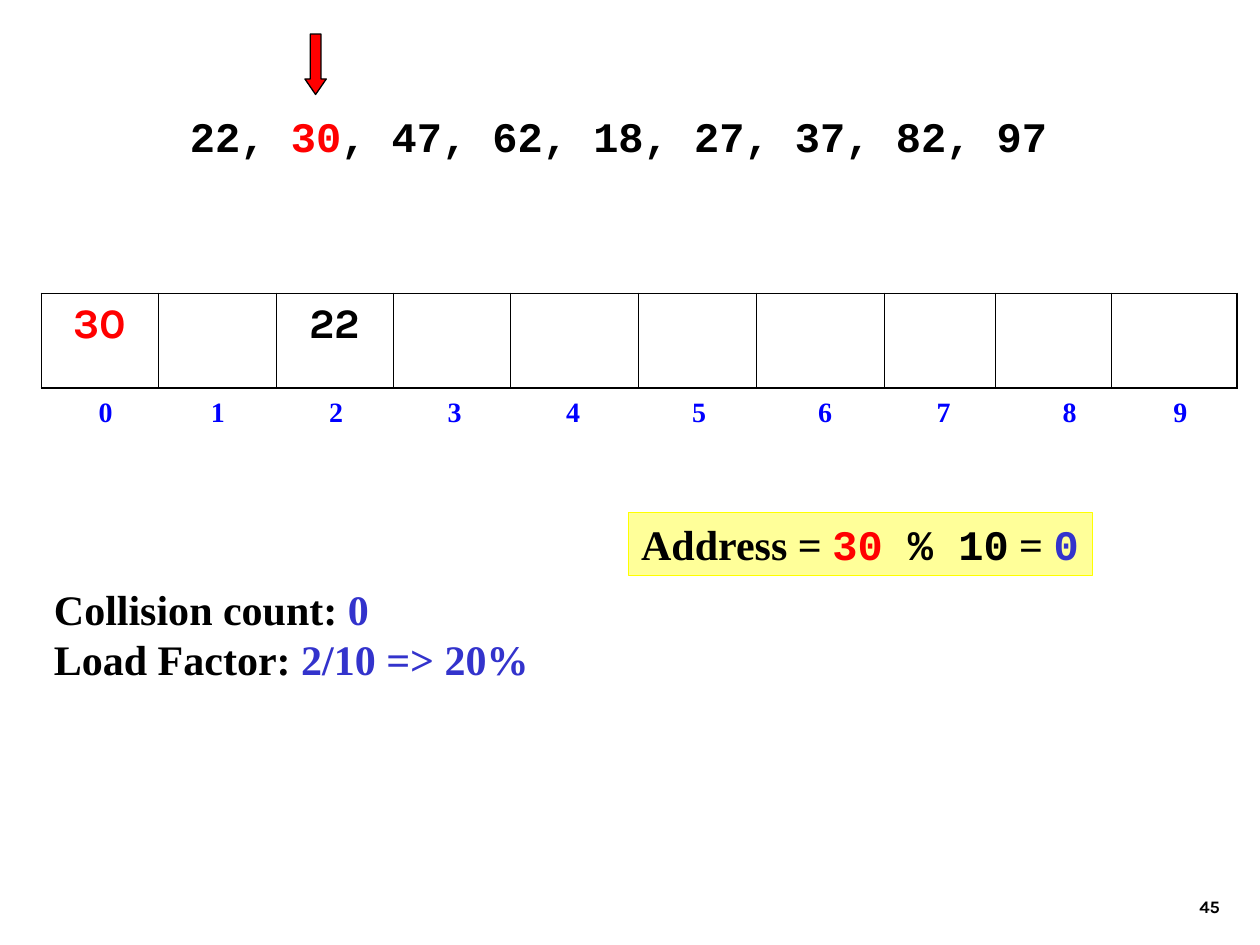
from lxml.etree import SubElement
from pptx import Presentation
from pptx.dml.color import RGBColor
from pptx.enum.shapes import MSO_SHAPE
from pptx.enum.text import MSO_ANCHOR, MSO_AUTO_SIZE, PP_ALIGN
from pptx.oxml.ns import qn
from pptx.util import Inches, Pt

BLACK = RGBColor(0x00, 0x00, 0x00)
RED = RGBColor(0xFF, 0x00, 0x00)
BLUE = RGBColor(0x00, 0x00, 0xFF)
INDIGO = RGBColor(0x33, 0x33, 0xCC)
PALE_YELLOW = RGBColor(0xFF, 0xFF, 0x99)
YELLOW = RGBColor(0xFF, 0xFF, 0x00)

SERIF, MONO, SANS = "Times New Roman", "Courier New", "Karla"

KEYS = [[("22, ", MONO, BLACK), ("30", MONO, RED),
         (", 47, 62, 18, 27, 37, 82, 97", MONO, BLACK)]]
STATISTICS = [
    [("Collision count: ", SERIF, BLACK), ("0", SERIF, INDIGO)],
    [("Load Factor: ", SERIF, BLACK), ("2/10 => 20%", SERIF, INDIGO)],
]
ADDRESS = [[("Address = ", SERIF, BLACK), ("30", MONO, RED),
            (" % 10", MONO, BLACK), (" = ", SERIF, BLACK),
            ("0", MONO, INDIGO)]]
PAGE_NUMBER = [[("45", SANS, BLACK)]]
STORED = {0: ("30", SANS, RED), 2: ("22", SANS, BLACK)}

BUCKET_WIDTHS = [0.93, 0.93, 0.93, 0.93, 1.02, 0.93, 1.02, 0.88, 0.92, 1]
LABEL_STOPS = [0.49, 1.38, 2.32, 3.26, 4.2, 5.2, 6.2, 7.14, 8.14, 9.02]
INDEXES = [[("".join(f"\t{index}" for index in range(len(BUCKET_WIDTHS))), SERIF, BLUE)]]
TABLE_LEFT, TABLE_TOP, TABLE_HEIGHT = 0.33, 2.33, 0.75


def add_runs(paragraph, runs, size):
    for text, font_name, color in runs:
        run = paragraph.add_run()
        run.text = text
        run.font.name = font_name
        run.font.size = Pt(size)
        run.font.bold = True
        run.font.color.rgb = color


def fill_text(shape, lines, size=24, wrap=False, align=PP_ALIGN.LEFT, anchor=MSO_ANCHOR.TOP):
    frame = shape.text_frame
    frame.word_wrap = wrap
    frame.auto_size = MSO_AUTO_SIZE.NONE if wrap else MSO_AUTO_SIZE.SHAPE_TO_FIT_TEXT
    frame.vertical_anchor = anchor
    for number, runs in enumerate(lines):
        paragraph = frame.add_paragraph() if number else frame.paragraphs[0]
        paragraph.alignment = align
        add_runs(paragraph, runs, size)


def add_text(slide, box, lines, **options):
    shape = slide.shapes.add_textbox(*map(Inches, box))
    fill_text(shape, lines, **options)
    return shape


def add_preset(slide, kind, box, fill, line):
    shape = slide.shapes.add_shape(kind, *map(Inches, box))
    shape.shadow.inherit = False
    shape.fill.solid()
    shape.fill.fore_color.rgb = fill
    shape.line.color.rgb = line
    shape.line.width = Pt(0.75)
    return shape


def set_borders(cell, widths):
    properties = cell._tc.get_or_add_tcPr()
    for position, (side, width) in enumerate(widths.items()):
        line = properties.makeelement(qn(f"a:ln{side}"), {"w": str(Pt(width))})
        fill = SubElement(line, qn("a:solidFill"))
        SubElement(fill, qn("a:srgbClr"), val=str(BLACK))
        properties.insert(position, line)


def add_buckets(slide):
    count = len(BUCKET_WIDTHS)
    box = (TABLE_LEFT, TABLE_TOP, sum(BUCKET_WIDTHS), TABLE_HEIGHT)
    table = slide.shapes.add_table(1, count, *map(Inches, box)).table
    table.first_row = table.horz_banding = False
    for index, width in enumerate(BUCKET_WIDTHS):
        table.columns[index].width = Inches(width)
        cell = table.cell(0, index)
        cell.fill.background()
        set_borders(cell, {"L": 0.45 if index else 1.08,
                           "R": 0.45 if index < count - 1 else 1.08,
                           "T": 1.08, "B": 1.08})
        if index in STORED:
            paragraph = cell.text_frame.paragraphs[0]
            paragraph.alignment = PP_ALIGN.CENTER
            add_runs(paragraph, [STORED[index]], 24)


def add_indexes(slide):
    box = (0.25, TABLE_TOP + TABLE_HEIGHT, 9.58, 0.64)
    shape = add_text(slide, box, INDEXES, size=16, wrap=True)
    properties = shape.text_frame.paragraphs[0]._p.get_or_add_pPr()
    tabs = SubElement(properties, qn("a:tabLst"))
    for stop in LABEL_STOPS:
        SubElement(tabs, qn("a:tab"), pos=str(Inches(stop)), algn="ctr")


def main():
    presentation = Presentation()
    presentation.slide_width, presentation.slide_height = Inches(10), Inches(7.5)
    slide = presentation.slides.add_slide(presentation.slide_layouts[6])

    add_text(slide, (7.7, 6.83, 2.08, 0.5), PAGE_NUMBER, size=10, wrap=True,
             align=PP_ALIGN.RIGHT, anchor=MSO_ANCHOR.BOTTOM)
    add_indexes(slide)
    add_buckets(slide)
    add_text(slide, (1.41, 0.83, 7, 0.5), KEYS)
    arrow = add_preset(slide, MSO_SHAPE.DOWN_ARROW, (2.42, 0.27, 0.17, 0.48), RED, BLACK)
    arrow.adjustments[0], arrow.adjustments[1] = 0.5, 0.725
    add_text(slide, (TABLE_LEFT, 4.58, 3.97, 0.9), STATISTICS)
    address = add_preset(slide, MSO_SHAPE.RECTANGLE, (4.99, 4.07, 3.68, 0.5), PALE_YELLOW, YELLOW)
    fill_text(address, ADDRESS)

    presentation.save("out.pptx")


if __name__ == "__main__":
    main()
